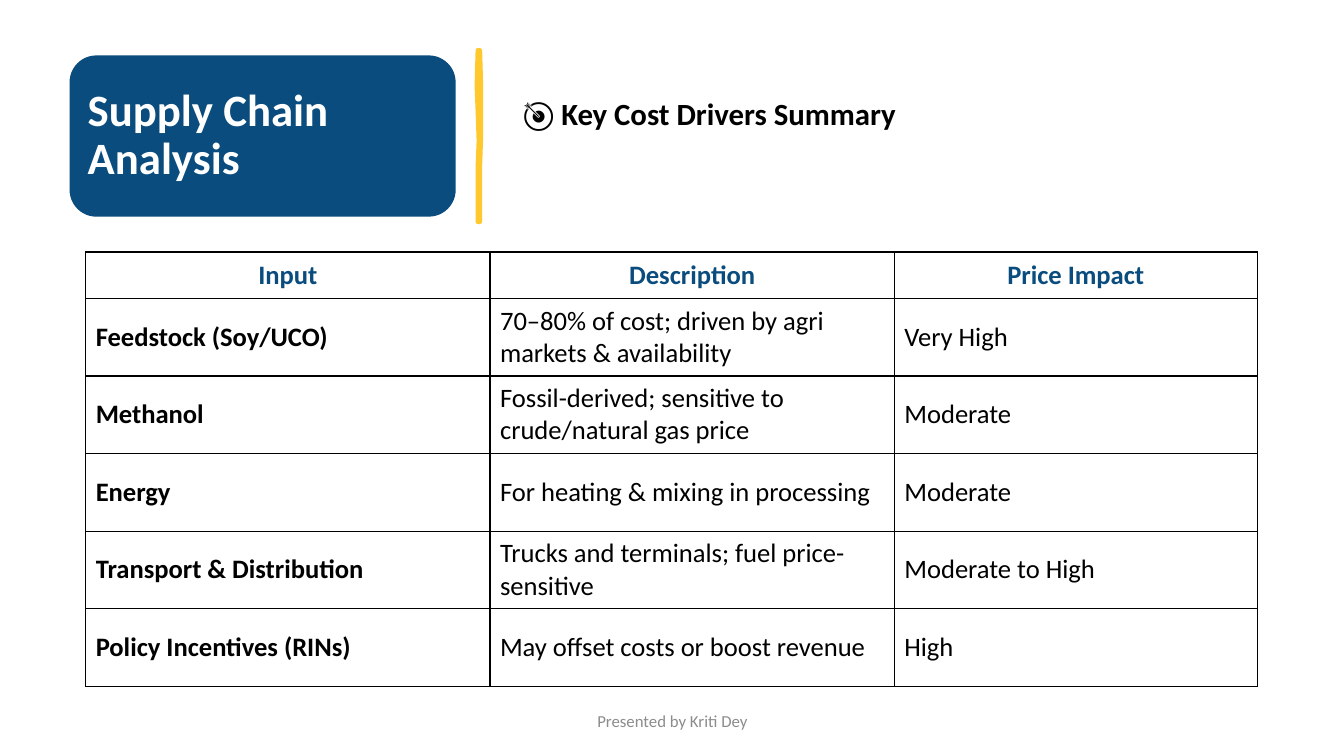
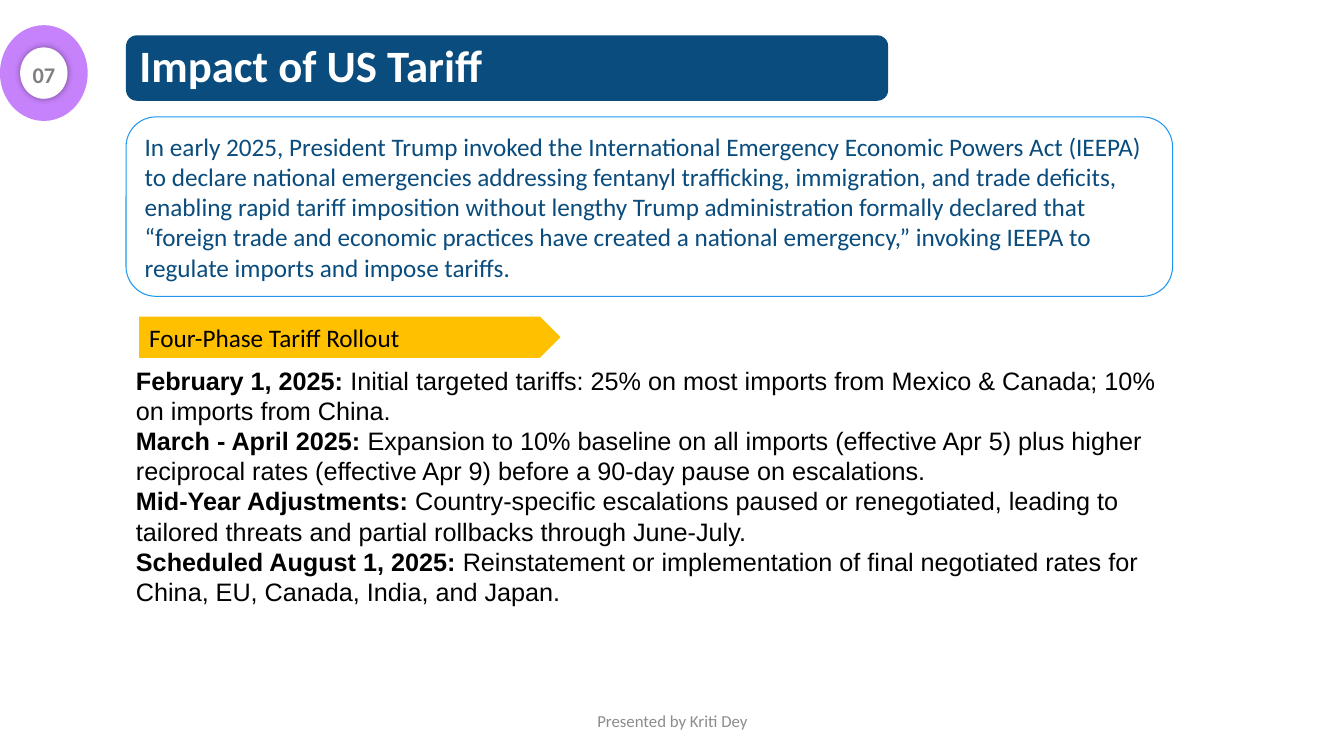
import dataclasses

import pptx
import pptx.dml.color
import pptx.enum.shapes
import pptx.enum.text
import pptx.oxml
import pptx.oxml.ns
import pptx.util

Inches = pptx.util.Inches
Pt = pptx.util.Pt
Shape = pptx.enum.shapes.MSO_SHAPE
Align = pptx.enum.text.PP_ALIGN
Anchor = pptx.enum.text.MSO_ANCHOR


@dataclasses.dataclass(frozen=True)
class Theme:
    navy: str = "094C7D"
    sky: str = "1F97EE"
    stroke: str = "FFC82D"
    amber: str = "FFC000"
    purple: str = "B359F9"
    white: str = "FFFFFF"
    black: str = "000000"
    gray: str = "808080"
    footer_gray: str = "8C8C8C"
    font: str = "Calibri"
    body_font: str = "Arial"
    title_size: int = 32
    heading_size: int = 22
    table_size: int = 19
    body_size: int = 18
    badge_size: int = 16
    footer_size: int = 12


THEME = Theme()
TITLE_ONLY = 5

COST_DRIVERS = [
    ("Input", "Description", "Price Impact"),
    ("Feedstock (Soy/UCO)", "70–80% of cost; driven by agri markets & availability", "Very High"),
    ("Methanol", "Fossil-derived; sensitive to crude/natural gas price", "Moderate"),
    ("Energy", "For heating & mixing in processing", "Moderate"),
    ("Transport & Distribution", "Trucks and terminals; fuel price-sensitive", "Moderate to High"),
    ("Policy Incentives (RINs)", "May offset costs or boost revenue", "High"),
]

TARIFF_INTRO = (
    "In early 2025, President Trump invoked the International Emergency Economic Powers Act "
    "(IEEPA) to declare national emergencies addressing fentanyl trafficking, immigration, and "
    "trade deficits, enabling rapid tariff imposition without lengthy Trump administration "
    "formally declared that “foreign trade and economic practices have created a national "
    "emergency,” invoking IEEPA to regulate imports and impose tariffs."
)

ROLLOUT_PHASES = [
    ("February 1, 2025:", "Initial targeted tariffs: 25% on most imports from Mexico & Canada; "
     "10% on imports from China."),
    ("March - April 2025:", "Expansion to 10% baseline on all imports (effective Apr 5) plus "
     "higher reciprocal rates (effective Apr 9) before a 90-day pause on escalations."),
    ("Mid-Year Adjustments:", "Country-specific escalations paused or renegotiated, leading to "
     "tailored threats and partial rollbacks through June-July."),
    ("Scheduled August 1, 2025:", "Reinstatement or implementation of final negotiated rates "
     "for China, EU, Canada, India, and Japan."),
]


def rgb(color):
    return pptx.dml.color.RGBColor.from_string(color)


def inches(*lengths):
    return [Inches(length) for length in lengths]


def format_span(span, size, color, bold=False, font=THEME.font):
    span.font.name = font
    span.font.size = Pt(size)
    span.font.bold = bold
    span.font.color.rgb = rgb(color)


def write(frame, text, size, color, bold=False, align=Align.LEFT, anchor=Anchor.MIDDLE):
    frame.text = text
    frame.word_wrap = True
    frame.vertical_anchor = anchor
    para = frame.paragraphs[0]
    para.alignment = align
    format_span(para.runs[0], size, color, bold)


def paint(shape, fill=None, line=None, width=0.75):
    """Set fill and outline; None leaves either one empty."""
    shape.shadow.inherit = False
    if fill:
        shape.fill.solid()
        shape.fill.fore_color.rgb = rgb(fill)
    else:
        shape.fill.background()
    if line:
        shape.line.color.rgb = rgb(line)
        shape.line.width = Pt(width)
    else:
        shape.line.fill.background()


def add_panel(page, kind, place, fill=None, line=None):
    panel = page.shapes.add_shape(kind, *inches(*place))
    paint(panel, fill, line)
    return panel


def add_text(page, place, *text_style, **options):
    box = page.shapes.add_textbox(*inches(*place))
    write(box.text_frame, *text_style, **options)


def add_page(deck, title_text, place):
    """Add a slide with its title on a navy band, and the footer."""
    page = deck.slides.add_slide(deck.slide_layouts[TITLE_ONLY])
    title = page.shapes.title
    band = add_panel(page, Shape.ROUNDED_RECTANGLE, place, fill=THEME.navy)
    title.element.addprevious(band.element)
    title.left, title.top, title.width, title.height = inches(*place)
    frame = title.text_frame
    write(frame, title_text, THEME.title_size, THEME.white, bold=True)
    frame.auto_size = pptx.enum.text.MSO_AUTO_SIZE.NONE
    frame.margin_left = frame.margin_right = Inches(0.1 + 0.05 * place[3])
    frame.paragraphs[0].line_spacing = 0.9
    add_text(page, (4.42, 6.95, 4.5, 0.4), "Presented by Kriti Dey",
             THEME.footer_size, THEME.footer_gray, align=Align.CENTER)
    return page


def add_brush_stroke(page):
    """Draw a wavy upright stroke; its points are in hundredths of an inch."""
    right_edge = [(476, 50), (477, 85), (477, 110), (477, 135), (476, 165), (476, 220)]
    left_edge = [(474, 220), (474, 190), (474, 165), (475, 140), (474, 110), (473, 85), (474, 50)]
    start, *rest = right_edge + left_edge
    builder = page.shapes.build_freeform(*start, scale=Inches(0.01))
    builder.add_line_segments(rest, close=True)
    paint(builder.convert_to_shape(), THEME.stroke, THEME.stroke, 3.25)


def border_cell(cell):
    properties = cell._tc.get_or_add_tcPr()
    for position, side in enumerate(("lnL", "lnR", "lnT", "lnB")):
        properties.insert(position, pptx.oxml.parse_xml(
            f'<a:{side} {pptx.oxml.ns.nsdecls("a")} w="{Pt(1)}"><a:solidFill>'
            f'<a:srgbClr val="{THEME.black}"/></a:solidFill></a:{side}>'))


def add_grid(page, rows, place, column_widths, row_heights):
    """Add a ruled table with a navy header and a bold first column."""
    grid = page.shapes.add_table(len(rows), len(rows[0]), *inches(*place)).table
    for column, width in zip(grid.columns, column_widths):
        column.width = Inches(width)
    for row, height in zip(grid.rows, row_heights):
        row.height = Inches(height)
    for row_index, texts in enumerate(rows):
        header = row_index == 0
        for column_index, text in enumerate(texts):
            cell = grid.cell(row_index, column_index)
            write(cell.text_frame, text, THEME.table_size,
                  THEME.navy if header else THEME.black,
                  bold=header or column_index == 0,
                  align=Align.CENTER if header else Align.LEFT)
            cell.vertical_anchor = Anchor.MIDDLE
            cell.fill.solid()
            cell.fill.fore_color.rgb = rgb(THEME.white)
            border_cell(cell)


def add_labelled_paragraphs(page, place, items):
    frame = page.shapes.add_textbox(*inches(*place)).text_frame
    frame.word_wrap = True
    for index, (label, detail) in enumerate(items):
        para = frame.add_paragraph() if index else frame.paragraphs[0]
        for text, bold in ((label, True), (f" {detail}", False)):
            span = para.add_run()
            span.text = text
            format_span(span, THEME.body_size, THEME.black, bold, THEME.body_font)


def add_badge(page, number):
    ring = add_panel(page, Shape.OVAL, (0, 0.25, 0.87, 0.95), fill=THEME.purple)
    color = ring.element.spPr.find(".//" + pptx.oxml.ns.qn("a:srgbClr"))
    color.append(pptx.oxml.parse_xml(f'<a:alpha {pptx.oxml.ns.nsdecls("a")} val="75000"/>'))
    center = add_panel(page, Shape.OVAL, (0.2, 0.47, 0.47, 0.51), fill=THEME.white)
    effects = center.element.spPr.find(pptx.oxml.ns.qn("a:effectLst"))
    effects.append(pptx.oxml.parse_xml(
        f'<a:outerShdw {pptx.oxml.ns.nsdecls("a")} blurRad="{Pt(5)}" dist="0" dir="0">'
        f'<a:srgbClr val="{THEME.black}"><a:alpha val="40000"/></a:srgbClr></a:outerShdw>'))
    add_text(page, (0.22, 0.55, 0.43, 0.37), number, THEME.badge_size, THEME.gray,
             bold=True, align=Align.CENTER)
    frame = page.shapes[-1].text_frame
    frame.word_wrap = False


def build_supply_chain(deck):
    page = add_page(deck, "Supply Chain Analysis", (0.69, 0.55, 3.83, 1.6))
    add_brush_stroke(page)
    add_text(page, (5.09, 0.55, 7.54, 1.14), "🎯 Key Cost Drivers Summary",
             THEME.heading_size, THEME.black, bold=True)
    row_heights = [0.46] + [0.77] * (len(COST_DRIVERS) - 1)
    add_grid(page, COST_DRIVERS, (0.85, 2.5, 11.62, 4.31), (4.01, 4.01, 3.6), row_heights)


def build_tariff_impact(deck):
    page = add_page(deck, "Impact of US Tariff", (1.25, 0.35, 7.56, 0.65))
    heading = add_panel(page, Shape.PENTAGON, (1.38, 3.14, 4.18, 0.41), fill=THEME.amber)
    write(heading.text_frame, "Four-Phase Tariff Rollout", THEME.body_size, THEME.black)
    intro = add_panel(page, Shape.ROUNDED_RECTANGLE, (1.25, 1.16, 10.38, 1.78), line=THEME.sky)
    write(intro.text_frame, TARIFF_INTRO, THEME.body_size, THEME.navy)
    add_labelled_paragraphs(page, (1.25, 3.57, 10.62, 2.52), ROLLOUT_PHASES)
    add_badge(page, "07")


def main():
    deck = pptx.Presentation()
    deck.slide_width, deck.slide_height = inches(13.33, 7.5)
    build_supply_chain(deck)
    build_tariff_impact(deck)
    deck.save("out.pptx")


if __name__ == "__main__":
    main()
